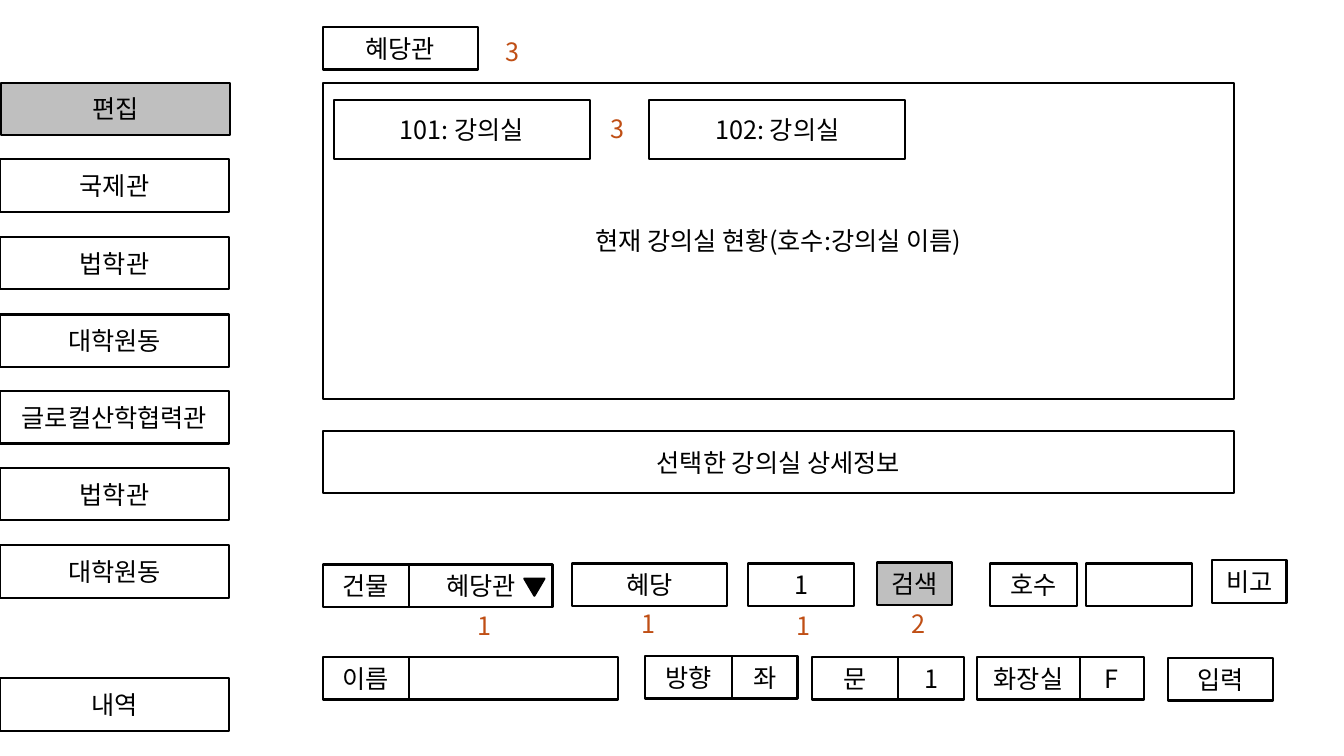
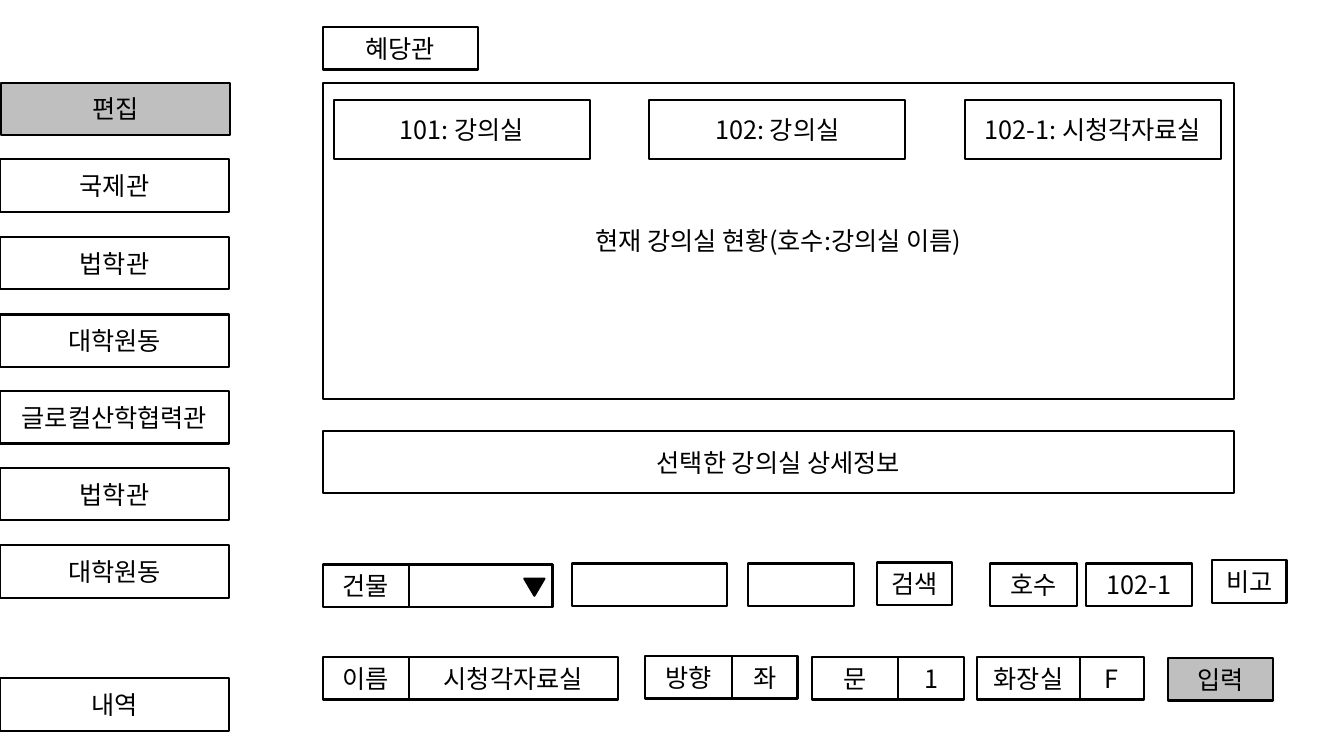
from pptx import Presentation
from pptx.dml.color import RGBColor
from pptx.enum.shapes import MSO_SHAPE as Preset
from pptx.enum.text import MSO_ANCHOR as Anchor, PP_ALIGN as Align
from pptx.oxml.ns import qn
from pptx.util import Emu, Pt

PX = 9144  # EMU per px, 100 px to the inch
FONT = "Noto Sans CJK KR"
COLORS = {"ink": "000000", "paper": "FFFFFF", "active": "BFBFBF", "marker": "C04F15"}

# Shared content
TITLE = "혜당관"
SIDEBAR = ["편집", "국제관", "법학관", "대학원동", "글로컬산학협력관", "법학관", "대학원동"]
HISTORY = "내역"
PANELS = [
    ("현재 강의실 현황(호수:강의실 이름)", 82, 314),
    ("선택한 강의실 상세정보", 428, 61),
]
LABELS = [  # text, left, top, width
    ("건물", 320, 560, 86),
    ("호수", 982, 559, 86),
    ("비고", 1202, 556, 74),
    ("이름", 320, 652, 86),
    ("방향", 640, 651, 86),
    ("문", 805, 652, 86),
    ("화장실", 969, 652, 102),
]
INPUTS = {  # name: left, top, width
    "building": (406, 560, 142),
    "keyword": (567, 559, 154),
    "floor": (742, 559, 105),
    "room number": (1077, 559, 105),
    "room name": (405, 652, 208),
    "direction": (726, 651, 65),
    "door": (891, 652, 65),
    "toilet": (1070, 652, 65),
}
BUTTONS = [("검색", 870, 558, 74), ("입력", 1158, 653, 105)]
DROPDOWN_ARROW = (520, 574, 20, 17)
COMMON_VALUES = {"direction": "좌", "door": "1", "toilet": "F"}

# What differs from screen to screen
SCREENS = [
    {
        "rooms": ["101: 강의실", "102: 강의실"],
        "values": {"building": "혜당관", "keyword": "혜당", "floor": "1"},
        "active": "검색",
        "markers": [("3", 492, 31), ("3", 596, 108), ("1", 464, 601),
                    ("1", 626, 599), ("1", 780, 601), ("2", 894, 599)],
    },
    {
        "rooms": ["101: 강의실", "102: 강의실", "102-1: 시청각자료실"],
        "values": {"room number": "102-1", "room name": "시청각자료실"},
        "active": "입력",
        "markers": [],
    },
]

# Layout rules
SIDEBAR_TOP, SIDEBAR_PITCH, SIDEBAR_SIZE = 82, 76.5, (227, 52)
HISTORY_TOP = 673
PANEL_LEFT, PANEL_WIDTH = 320, 904
ROOM_LEFT, ROOM_TOP, ROOM_PITCH, ROOM_SIZE = 331, 99, 313, (254, 59)
FIELD_HEIGHT = 42
TITLE_BOX = (320, 27, 154, FIELD_HEIGHT)
MARKER_SIZE = (34, 40)


def color(name):
    return RGBColor.from_string(COLORS[name])


def lengths(*pixels):
    return [Emu(value * PX) for value in pixels]


def write(shape, text, text_color="ink", align=Align.CENTER, anchor=Anchor.MIDDLE):
    frame = shape.text_frame
    frame.text = text
    frame.word_wrap = True
    frame.vertical_anchor = anchor
    paragraph = frame.paragraphs[0]
    paragraph.alignment = align
    for run in paragraph.runs:
        run.font.size = Pt(18)
        run.font.name = FONT
        run.font.color.rgb = color(text_color)
        east_asian = run.font._element.makeelement(qn("a:ea"), {"typeface": FONT})
        run.font._element.find(qn("a:latin")).addnext(east_asian)


def outline(shape, fill):
    shape.fill.solid()
    shape.fill.fore_color.rgb = color(fill)
    shape.line.color.rgb = color("ink")
    shape.line.width = Pt(1.5)


def add_box(slide, box, text="", fill="paper", preset=Preset.RECTANGLE):
    shape = slide.shapes.add_shape(preset, *lengths(*box))
    shape.shadow.inherit = False
    outline(shape, fill)
    if text:
        write(shape, text)
    return shape


def add_title(slide):
    title = slide.shapes.title
    title.left, title.top, title.width, title.height = lengths(*TITLE_BOX)
    outline(title, "paper")
    write(title, TITLE)


def add_sidebar(slide):
    for index, text in enumerate(SIDEBAR):
        top = round(SIDEBAR_TOP + index * SIDEBAR_PITCH)
        selected = index == 0
        add_box(slide, (1 if selected else 0, top, *SIDEBAR_SIZE), text,
                "active" if selected else "paper")
    add_box(slide, (0, HISTORY_TOP, *SIDEBAR_SIZE), HISTORY)


def add_rooms(slide, rooms):
    for text, top, height in PANELS:
        add_box(slide, (PANEL_LEFT, top, PANEL_WIDTH, height), text)
    for index, room in enumerate(rooms):
        add_box(slide, (ROOM_LEFT + index * ROOM_PITCH, ROOM_TOP, *ROOM_SIZE), room)


def add_form(slide, values, active):
    for name, place in INPUTS.items():
        add_box(slide, (*place, FIELD_HEIGHT), values.get(name, ""))
    for text, *place in LABELS:
        add_box(slide, (*place, FIELD_HEIGHT), text)
    for text, *place in BUTTONS:
        add_box(slide, (*place, FIELD_HEIGHT), text, "active" if text == active else "paper")
    arrow = add_box(slide, DROPDOWN_ARROW, fill="ink", preset=Preset.ISOSCELES_TRIANGLE)
    arrow.rotation = 180


def add_markers(slide, markers):
    for text, left, top in markers:
        marker = slide.shapes.add_textbox(*lengths(left, top, *MARKER_SIZE))
        write(marker, text, "marker", Align.LEFT, Anchor.TOP)


def main():
    presentation = Presentation()
    presentation.slide_width, presentation.slide_height = lengths(1333, 750)
    title_only = presentation.slide_layouts[5]
    for screen in SCREENS:
        slide = presentation.slides.add_slide(title_only)
        add_title(slide)
        add_sidebar(slide)
        add_rooms(slide, screen["rooms"])
        add_form(slide, COMMON_VALUES | screen["values"], screen["active"])
        add_markers(slide, screen["markers"])
    presentation.save("out.pptx")


if __name__ == "__main__":
    main()
